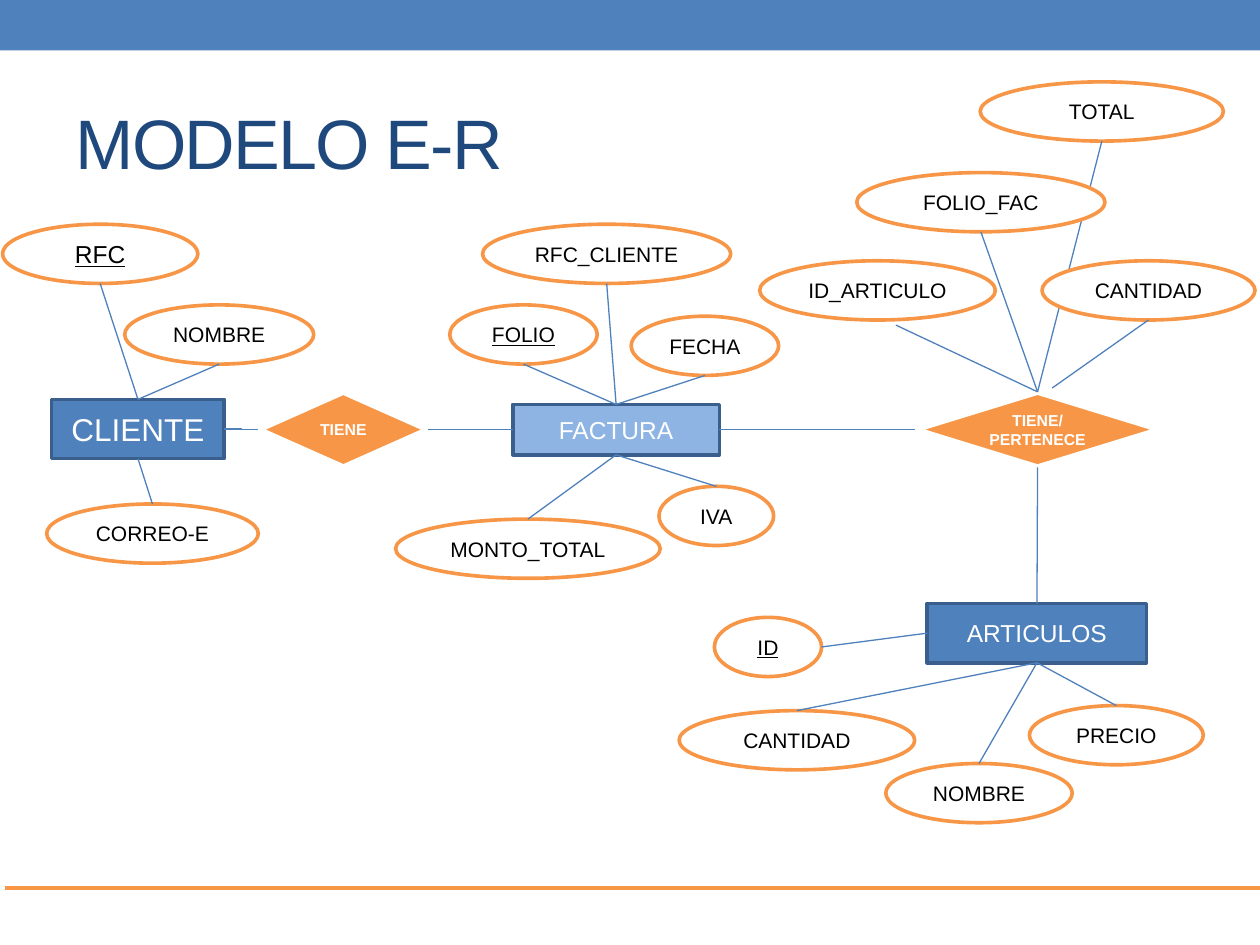
from lxml.etree import SubElement
from pptx import Presentation
from pptx.dml.color import RGBColor as Rgb
from pptx.enum.shapes import MSO_CONNECTOR as Link, MSO_SHAPE as Shape
from pptx.enum.text import MSO_ANCHOR as Anchor, PP_ALIGN as Align
from pptx.oxml.ns import qn
from pptx.util import Inches, Pt

BLUE, ORANGE, WHITE = "4F81BD", "F79646", "FFFFFF"
TALL = 0.47
TOP, LEFT, BOTTOM = 0, 1, 2


def paint(item, color):
    """Give a fill, line or font format a solid colour."""
    if hasattr(item, "solid"):
        item.solid()
        item.fore_color.rgb = Rgb.from_string(color)
    else:
        item.color.rgb = Rgb.from_string(color)


def write(shape, text, size=12, color="000000", align=Align.CENTER,
          bold=False, under=False, pad=0.05, track=0):
    """Write one formatted paragraph into a shape."""
    frame = shape.text_frame
    frame.word_wrap = True
    frame.vertical_anchor = Anchor.MIDDLE
    frame.margin_left = frame.margin_right = Inches(pad)
    part = frame.paragraphs[0]
    part.alignment = align
    run = part.add_run()
    run.text = text
    font = run.font
    font.name, font.size = "Arial", Pt(size)
    font.bold, font.underline = bold, under
    paint(font, color)
    if track:
        font._element.set("spc", str(track))


def draw(slide, kind, box, fill, edge=None, width=2.08):
    """Add a filled preset shape in a box, with an edge if one is named."""
    shape = slide.shapes.add_shape(kind, *map(Inches, box))
    shape.shadow.inherit = False
    paint(shape.fill, fill)
    if edge:
        paint(shape.line, edge)
        shape.line.width = Pt(width)
    else:
        shape.line.fill.background()
    return shape


def join(slide, start, end, kind=Link.STRAIGHT, color=BLUE, width=0.75):
    """Draw a connector between two points."""
    line = slide.shapes.add_connector(kind, *map(Inches, (*start, *end)))
    paint(line.line, color)
    line.line.width = Pt(width)
    SubElement(line._element.spPr, qn("a:effectLst"))
    return line


def middle(box, side):
    """Return the middle of a box's side, counted from the top leftward."""
    x, y, w, h = box
    return [(x + w / 2, y), (x, y + h / 2), (x + w / 2, y + h), (x + w, y + h / 2)][side]


def traits(slide, owner, box, items):
    """Add the ovals of an owner and tie each to the side it faces."""
    for text, x, y, w, side, *rest in items:
        look = rest[0] if rest else {}
        oval = (x, y, w, TALL)
        write(draw(slide, Shape.OVAL, oval, WHITE, ORANGE), text,
              look.get("size", 12), under=look.get("key", False))
        start = look.get("start", middle(oval, (side + 2) % 4))
        line = join(slide, start, look.get("end", middle(box, side)))
        if "end" not in look:
            line.end_connect(owner, side)


def table(slide, box, text, items, size=14, fill=BLUE):
    """Add an entity box with its ovals."""
    shape = draw(slide, Shape.RECTANGLE, box, fill, "3A5F8C")
    write(shape, text, size, WHITE)
    traits(slide, shape, box, items)
    return shape


def bond(slide, box, text, items=()):
    """Add a relation diamond with its ovals."""
    shape = draw(slide, Shape.DIAMOND, box, ORANGE, WHITE, 3.5)
    write(shape, text, 9, WHITE, bold=True)
    traits(slide, shape, box, items)
    return shape


def frame(slide, box):
    """Add the top band, the bottom rule and the title."""
    x, y, w, h = box
    draw(slide, Shape.RECTANGLE, (x, y, w, 0.4), BLUE)
    join(slide, (x + 0.04, y + h - 0.45), (x + w + 0.04, y + h - 0.45),
         color=ORANGE, width=2.25)
    title = slide.shapes.title
    title.left, title.top, title.width, title.height = map(
        Inches, (x + 0.5, y + 0.58, w - 1, 1.08))
    write(title, "MODELO E-R", 40, "1F497D", Align.LEFT, pad=0.1, track=-100)


def main():
    """Build the slide and save it."""
    deck = Presentation()
    deck.slide_width, deck.slide_height = Inches(10), Inches(7.5)
    slide = deck.slides.add_slide(deck.slide_layouts[5])
    frame(slide, (0, 0, 10, 7.5))
    client = (0.41, 3.17, 1.37, TALL)
    bill = (4.07, 3.21, 1.64, 0.4)
    goods = (7.36, 4.79, 1.74, TALL)
    has = (2.05, 3.11, 1.35, 0.6)
    holds = (7.26, 3.11, 1.95, 0.6)
    key = {"key": True}

    table(slide, client, "CLIENTE", [
        ("RFC", 0.02, 1.78, 1.55, TOP, {"key": True, "size": 14}),
        ("NOMBRE", 0.99, 2.42, 1.5, TOP),
        ("CORREO-E", 0.37, 4, 1.68, BOTTOM),
    ], size=18)
    ledger = table(slide, bill, "FACTURA", [
        ("FOLIO", 3.57, 2.42, 1.17, TOP, key),
        ("RFC_CLIENTE", 3.83, 1.78, 1.97, TOP),
        ("FECHA", 5.01, 2.51, 1.17, TOP),
        ("MONTO_TOTAL", 3.14, 4.12, 2.1, BOTTOM),
        ("IVA", 5.23, 3.86, 0.91, BOTTOM),
    ], fill="8EB4E3")
    bond(slide, has, "TIENE")
    owns = bond(slide, holds, "TIENE/ PERTENECE", [
        ("TOTAL", 7.78, 0.65, 1.93, TOP),
        ("ID_ARTICULO", 6.03, 2.07, 1.87, TOP, {"start": (7.11, 2.58)}),
        ("FOLIO_FAC", 6.8, 1.37, 1.97, TOP),
        ("CANTIDAD", 8.27, 2.07, 1.69, TOP, {"end": (8.35, 3.08)}),
    ])
    stock = table(slide, goods, "ARTICULOS", [
        ("CANTIDAD", 5.39, 5.64, 1.87, BOTTOM),
        ("NOMBRE", 7.03, 6.06, 1.48, BOTTOM),
        ("PRECIO", 8.17, 5.6, 1.38, BOTTOM),
        ("ID", 5.67, 4.9, 0.85, LEFT, key),
    ])

    for first, last in ((bill, has), (has, client)):
        join(slide, middle(first, 1), middle(last, 3), Link.ELBOW)
    for first, last, begin, end in ((owns, ledger, 1, 3), (stock, owns, 0, 2)):
        line = join(slide, (0, 0), (0, 0))
        line.begin_connect(first, begin)
        line.end_connect(last, end)
    deck.save("out.pptx")


if __name__ == "__main__":
    main()
